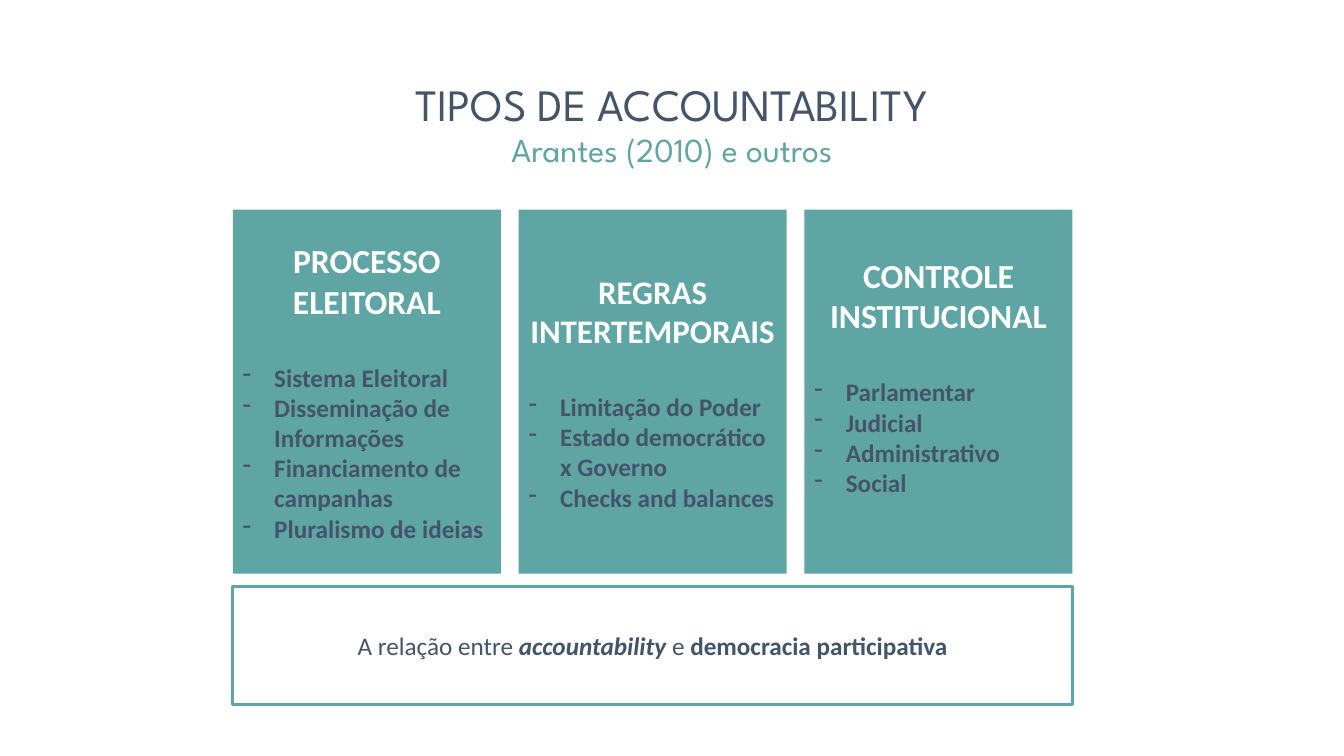
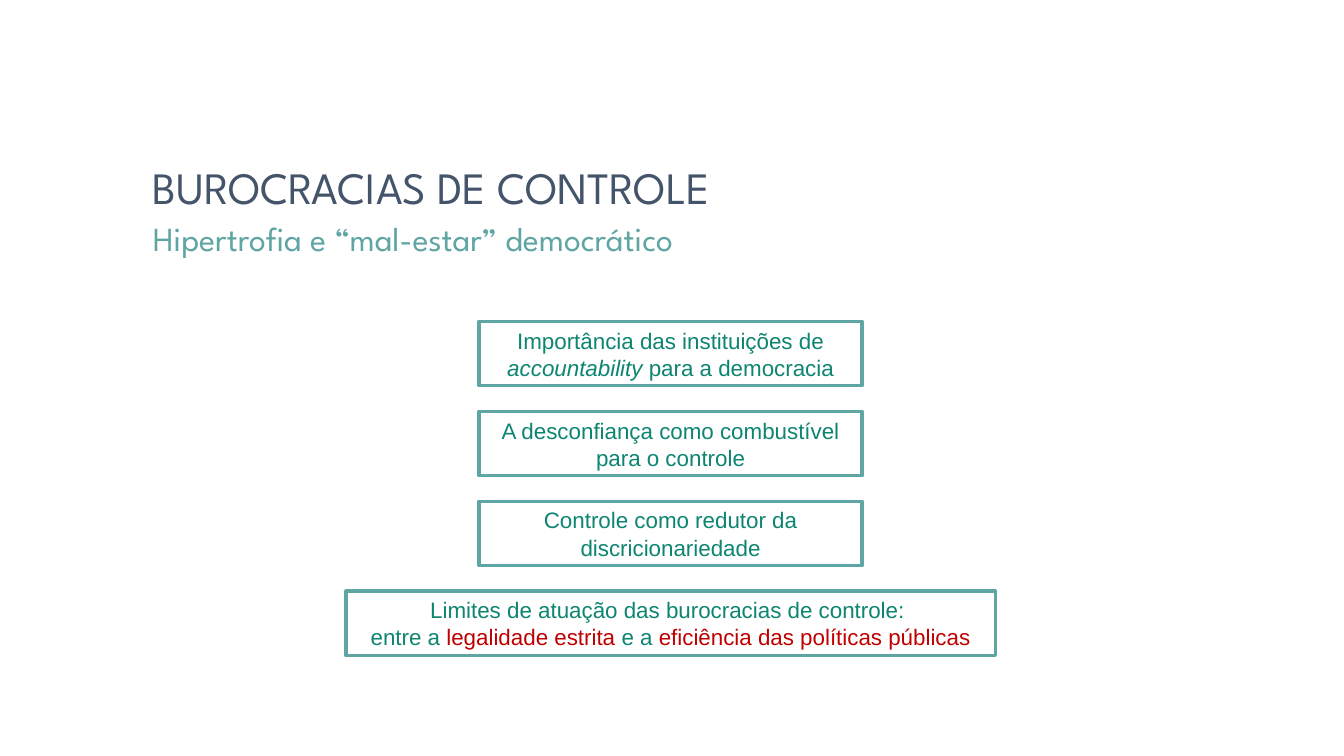
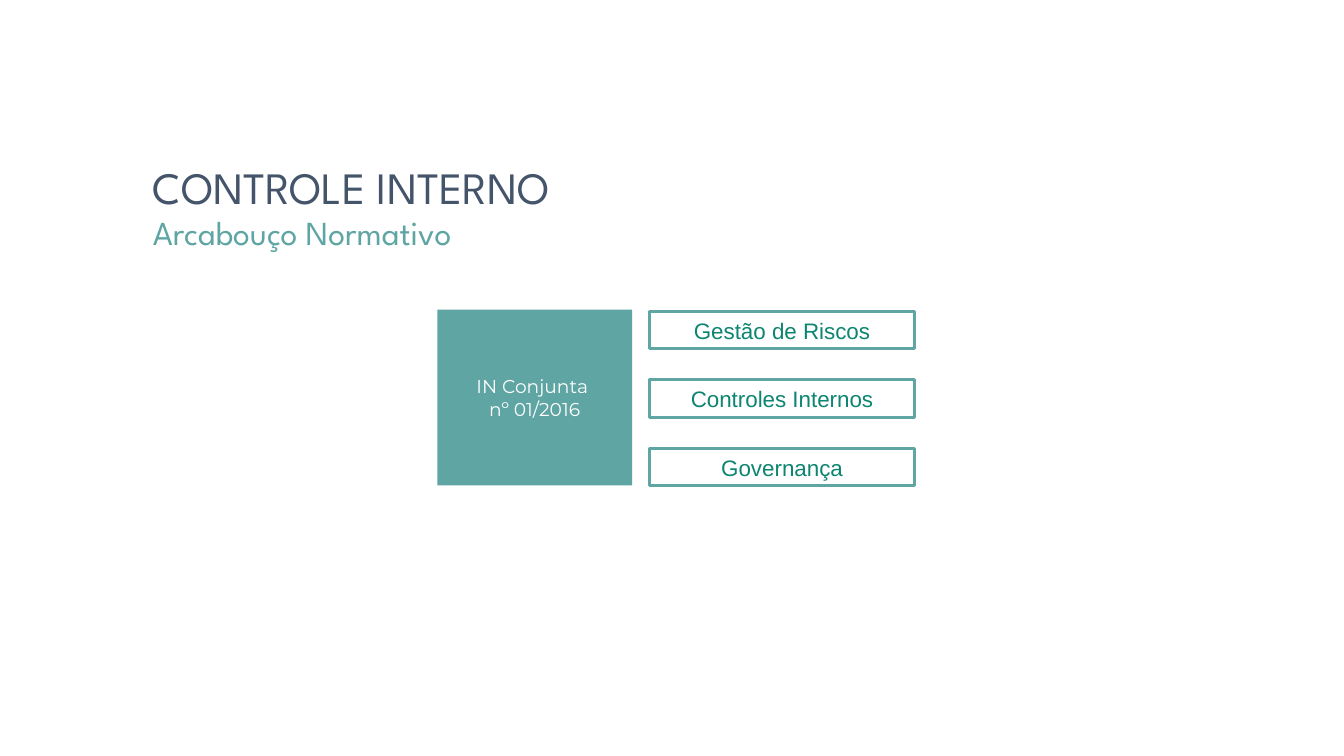
from lxml.etree import SubElement
from pptx import Presentation
from pptx.dml.color import RGBColor
from pptx.enum.shapes import MSO_SHAPE
from pptx.enum.text import MSO_ANCHOR, PP_ALIGN
from pptx.oxml.ns import qn
from pptx.util import Pt

COLORS = {
    "navy": "44546A",
    "teal": "5FA5A3",
    "green": "0D8571",
    "red": "C00000",
    "white": "FFFFFF",
}
MARGIN = 102.2
WIDTH = 960


class Deck:
    def __init__(self):
        self.prs = Presentation()
        self.prs.slide_width = Pt(WIDTH)
        self.prs.slide_height = Pt(540)
        self.slide = None

    def color(self, name):
        return RGBColor.from_string(COLORS[name])

    def add_slide(self):
        self.slide = self.prs.slides.add_slide(self.prs.slide_layouts[6])

    def add_runs(self, p, runs, font, size, color, align=PP_ALIGN.CENTER, bold=False):
        p.alignment = align
        for text, changes in [(runs, {})] if isinstance(runs, str) else runs:
            r = p.add_run()
            r.text = text
            r.font.name = font
            r.font.size = Pt(size)
            r.font.bold = changes.get("bold", bold)
            r.font.italic = changes.get("italic", False)
            r.font.color.rgb = self.color(changes.get("color", color))

    def heading(self, x, y, text, size, color, align):
        s = self.slide.shapes.add_textbox(Pt(x), Pt(y), Pt(WIDTH - 2 * x), Pt(size * 1.44))
        tf = s.text_frame
        tf.word_wrap = True
        self.add_runs(tf.paragraphs[0], text, "League Spartan", size, color, align)

    def title(self, x, y, text, subtitle_y, subtitle, align=PP_ALIGN.LEFT):
        self.heading(x, y, text, 32, "navy", align)
        self.heading(x, subtitle_y, subtitle, 24, "teal", align)

    def rect(self, x, y, w, h, filled):
        s = self.slide.shapes.add_shape(MSO_SHAPE.RECTANGLE, Pt(x), Pt(y), Pt(w), Pt(h))
        s.shadow.inherit = False
        if filled:
            s.fill.solid()
            s.fill.fore_color.rgb = self.color("teal")
            s.line.fill.background()
        else:
            s.fill.background()
            s.line.color.rgb = self.color("teal")
            s.line.width = Pt(2.25)
        tf = s.text_frame
        tf.word_wrap = True
        tf.vertical_anchor = MSO_ANCHOR.MIDDLE
        return tf

    def paragraphs(self, tf, lines, font, size, color, spacing=None):
        for i, runs in enumerate(lines):
            p = tf.add_paragraph() if i else tf.paragraphs[0]
            if spacing:
                p.line_spacing = Pt(spacing)
            self.add_runs(p, runs, font, size, color)

    def block(self, x, y, w, h, lines, size):
        self.paragraphs(self.rect(x, y, w, h, True), lines, "Montserrat", size, "white")

    def frame(self, x, y, w, h, lines):
        self.paragraphs(self.rect(x, y, w, h, False), lines, "Arial", 16, "green", 19.4)

    def banner(self, x, y, w, h, runs):
        self.paragraphs(self.rect(x, y, w, h, False), [runs], "Calibri", 18, "navy")

    def card(self, x, y, w, h, name, size, items, bottom):
        tf = self.rect(x, y, w, h, True)
        tf.margin_bottom = Pt(bottom)
        p = tf.paragraphs[0]
        self.add_runs(p, name, "Calibri", size, "white", bold=True)
        p.space_after = Pt(29.3)
        for item in items:
            p = tf.add_paragraph()
            self.add_runs(p, item, "Calibri", 18, "navy", PP_ALIGN.LEFT, True)
            pPr = p._p.get_or_add_pPr()
            pPr.set("marL", str(Pt(22.5)))
            pPr.set("indent", str(Pt(-22.5)))
            SubElement(pPr, qn("a:buChar")).set("char", "-")


def types_slide(deck):
    deck.add_slide()
    deck.title(0, 51.1, "TIPOS DE ACCOUNTABILITY", 88.6, "Arantes (2010) e outros",
               PP_ALIGN.CENTER)
    cards = [
        ("PROCESSO ELEITORAL", 24,
         ["Sistema Eleitoral", "Disseminação de Informações",
          "Financiamento de campanhas", "Pluralismo de ideias"], 3.6),
        ("REGRAS INTERTEMPORAIS", 23.5,
         ["Limitação do Poder", "Estado democrático x Governo",
          "Checks and balances"], 3.6),
        ("CONTROLE INSTITUCIONAL", 24,
         ["Parlamentar", "Judicial", "Administrativo", "Social"], 25.6),
    ]
    left, w, gap = 166.3, 191.5, 12.65
    for i, card in enumerate(cards):
        deck.card(left + i * (w + gap), 149.8, w, 260, *card)
    deck.banner(left, 419, 3 * w + 2 * gap, 84.2, [
        ("A relação entre ", {}),
        ("accountability", {"bold": True, "italic": True}),
        (" e ", {}),
        ("democracia participativa", {"bold": True}),
    ])


def bureaucracy_slide(deck):
    deck.add_slide()
    deck.title(MARGIN, 110.9, "BUROCRACIAS DE CONTROLE",
               151.9, "Hipertrofia e “mal-estar” democrático")
    red = {"color": "red"}
    frames = [
        (273.6, [[("Importância das instituições de ", {}),
                  ("accountability", {"italic": True}),
                  (" para a democracia", {})]]),
        (273.6, ["A desconfiança como combustível para o controle"]),
        (273.6, ["Controle como redutor da discricionariedade"]),
        (463.7, ["Limites de atuação das burocracias de controle: ",
                 [("entre a ", {}), ("legalidade estrita ", red), ("e a ", {}),
                  ("eficiência das políticas públicas", red)]]),
    ]
    for i, (w, lines) in enumerate(frames):
        deck.frame((WIDTH - 2 - w) / 2, 229.6 + i * 64.2, w, 46.1, lines)


def internal_control_slide(deck):
    deck.add_slide()
    deck.title(MARGIN, 110.9, "CONTROLE INTERNO", 147.6, "Arcabouço Normativo")
    deck.block(312.5, 221.2, 139, 125.6, ["IN Conjunta ", "nº 01/2016"], 13.3)
    for i, text in enumerate(["Gestão de Riscos", "Controles Internos", "Governança"]):
        deck.frame(464.2, 222.4 + i * 48.9, 188.9, 26.7, [text])


def main():
    deck = Deck()
    types_slide(deck)
    bureaucracy_slide(deck)
    internal_control_slide(deck)
    deck.prs.save("out.pptx")


if __name__ == "__main__":
    main()
